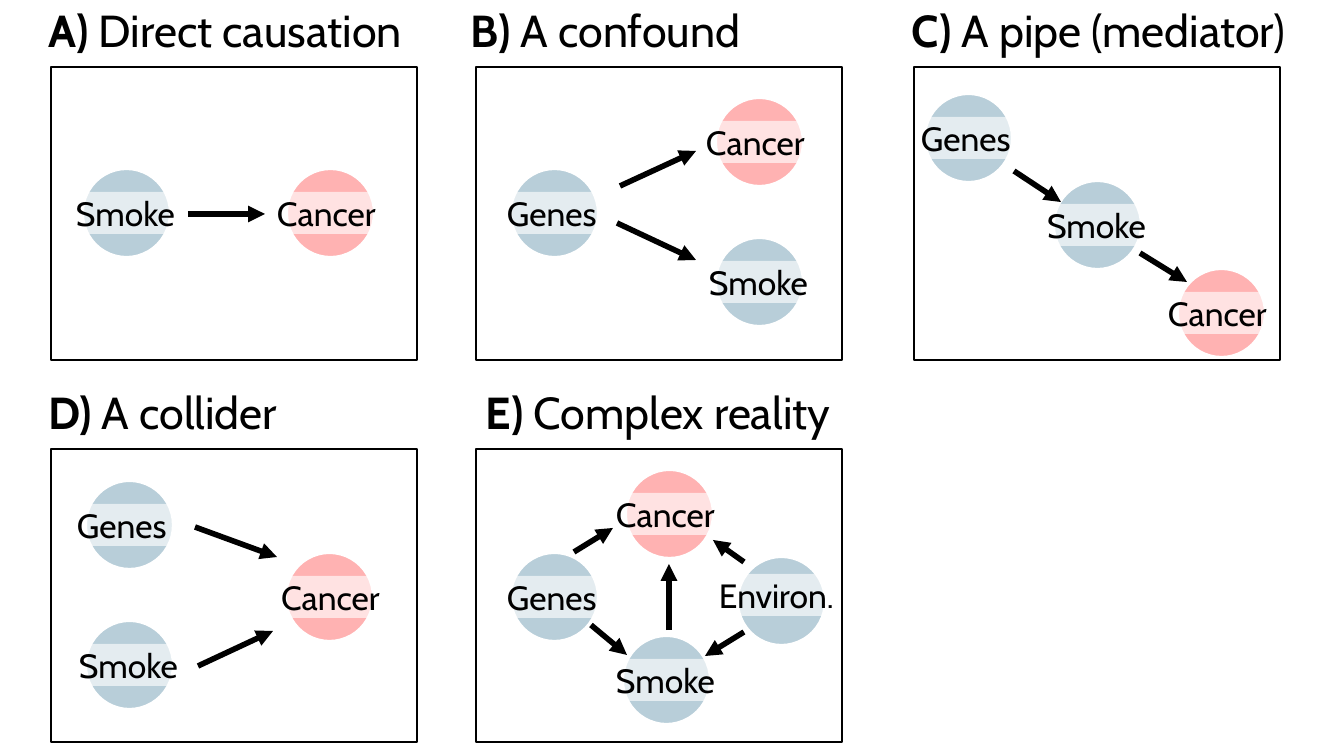
from lxml import etree
from pptx import Presentation
from pptx import util as u
from pptx.dml.color import RGBColor
from pptx.enum import shapes, text
from pptx.oxml import ns

SCALE = 914400 / 100.8
BLACK, WHITE, BLUE, RED = "000000", "FFFFFF", "156082", "FF0000"
PANEL_W, PANEL_H = 366, 293
CIRCLE_W, CIRCLE_H = 87, 88
LABEL_H = 42
LABEL_W = {"Smoke": 103, "Cancer": 109, "Genes": 97, "Environ.": 121}

PANELS = [
    dict(at=(51, 67), title=("A)", " Direct causation"), title_dx=-3,
         nodes=[("Smoke", 32, 102), ("Cancer", 236, 102)],
         arrows=[(137, 147, 214, 147)]),
    dict(at=(476, 67), title=("B)", " A confound"), title_dx=-5,
         nodes=[("Genes", 35, 102), ("Cancer", 240, 31), ("Smoke", 240, 171)],
         arrows=[(141, 156, 220, 193), (144, 119, 220, 84)]),
    dict(at=(914, 67), title=("C)", " A pipe (mediator)"), title_dx=-2,
         nodes=[("Genes", 11, 27), ("Smoke", 140, 114), ("Cancer", 264, 202)],
         arrows=[(100, 104, 147, 135), (226, 186, 273, 215)]),
    dict(at=(51, 449), title=("D)", " A collider"), title_dx=-3,
         nodes=[("Cancer", 235, 104, 5, 0), ("Genes", 35, 32, -5, 0),
                ("Smoke", 35, 172)],
         arrows=[(144, 78, 226, 108), (147, 217, 222, 182)]),
    dict(at=(476, 449), title=("E)", " Complex reality"), title_dx=10,
         nodes=[("Genes", 35, 104), ("Cancer", 150, 21), ("Smoke", 147, 187),
                ("Environ.", 262, 108, -3, -6)],
         arrows=[(115, 176, 151, 206), (268, 183, 229, 207), (268, 113, 237, 91),
                 (98, 103, 137, 79), (193, 181, 193, 115)]),
]


def px(*values):
    return [u.Emu(round(v * SCALE)) for v in values]


def color(value):
    return RGBColor.from_string(value)


def add_shape(s, kind, box, fill=None, alpha=100, line=None):
    sp = s.shapes.add_shape(kind, *px(*box))
    sp.shadow.inherit = False
    if fill:
        sp.fill.solid()
        sp.fill.fore_color.rgb = color(fill)
        clr = sp.fill._xPr.find(".//" + ns.qn("a:srgbClr"))
        etree.SubElement(clr, ns.qn("a:alpha"), val=str(alpha * 1000))
    else:
        sp.fill.background()
    if line:
        sp.line.color.rgb = color(line)
        sp.line.width = u.Pt(1.5)
    else:
        sp.line.fill.background()
    return sp


def set_margins(tf, margin):
    tf.margin_left = tf.margin_right = tf.margin_top = tf.margin_bottom = u.Inches(margin)


def add_run(p, content, size, bold=False):
    r = p.add_run()
    r.text = content
    r.font.name = "Cabin"
    r.font.size = u.Pt(size)
    r.font.bold = bold
    r.font.color.rgb = color(BLACK)


def add_node(s, name, x, y, dx=0, dy=0):
    add_shape(s, shapes.MSO_SHAPE.OVAL, (x, y, CIRCLE_W, CIRCLE_H),
              RED if name == "Cancer" else BLUE, 30, WHITE)
    w = LABEL_W[name]
    label = (x + (CIRCLE_W - w) // 2 + dx, y + (CIRCLE_H - LABEL_H) // 2 + dy, w, LABEL_H)
    sp = add_shape(s, shapes.MSO_SHAPE.RECTANGLE, label, WHITE, 63)
    tf = sp.text_frame
    set_margins(tf, 0.01)
    tf.word_wrap = False
    tf.auto_size = text.MSO_AUTO_SIZE.SHAPE_TO_FIT_TEXT
    tf.vertical_anchor = text.MSO_ANCHOR.TOP
    p = tf.paragraphs[0]
    p.alignment = text.PP_ALIGN.LEFT
    add_run(p, name, 24)


def add_arrow(s, x1, y1, x2, y2):
    c = s.shapes.add_connector(shapes.MSO_CONNECTOR.STRAIGHT, *px(x1, y1, x2, y2))
    c.line.color.rgb = color(BLACK)
    c.line.width = u.Pt(4)
    etree.SubElement(c.line._get_or_add_ln(), ns.qn("a:tailEnd"), type="triangle")
    etree.SubElement(c._element.spPr, ns.qn("a:effectLst"))


def add_title(s, x, y, letter, caption):
    tf = s.shapes.add_textbox(*px(x, y, 400, 54)).text_frame
    set_margins(tf, 0)
    tf.word_wrap = True
    p = tf.paragraphs[0]
    add_run(p, letter, 32, bold=True)
    add_run(p, caption, 32)


def add_panel(s, at, title, title_dx, nodes, arrows):
    x, y = at
    add_shape(s, shapes.MSO_SHAPE.RECTANGLE, (x, y, PANEL_W, PANEL_H), line=BLACK)
    add_title(s, x + title_dx, y - 64, *title)
    for name, nx, ny, *shift in nodes:
        add_node(s, name, x + nx, y + ny, *shift)
    for x1, y1, x2, y2 in arrows:
        add_arrow(s, x + x1, y + y1, x + x2, y + y2)


def main():
    prs = Presentation()
    prs.slide_width, prs.slide_height = px(1344, 756)
    s = prs.slides.add_slide(prs.slide_layouts[6])
    for panel in PANELS:
        add_panel(s, **panel)
    prs.save("out.pptx")


if __name__ == "__main__":
    main()
